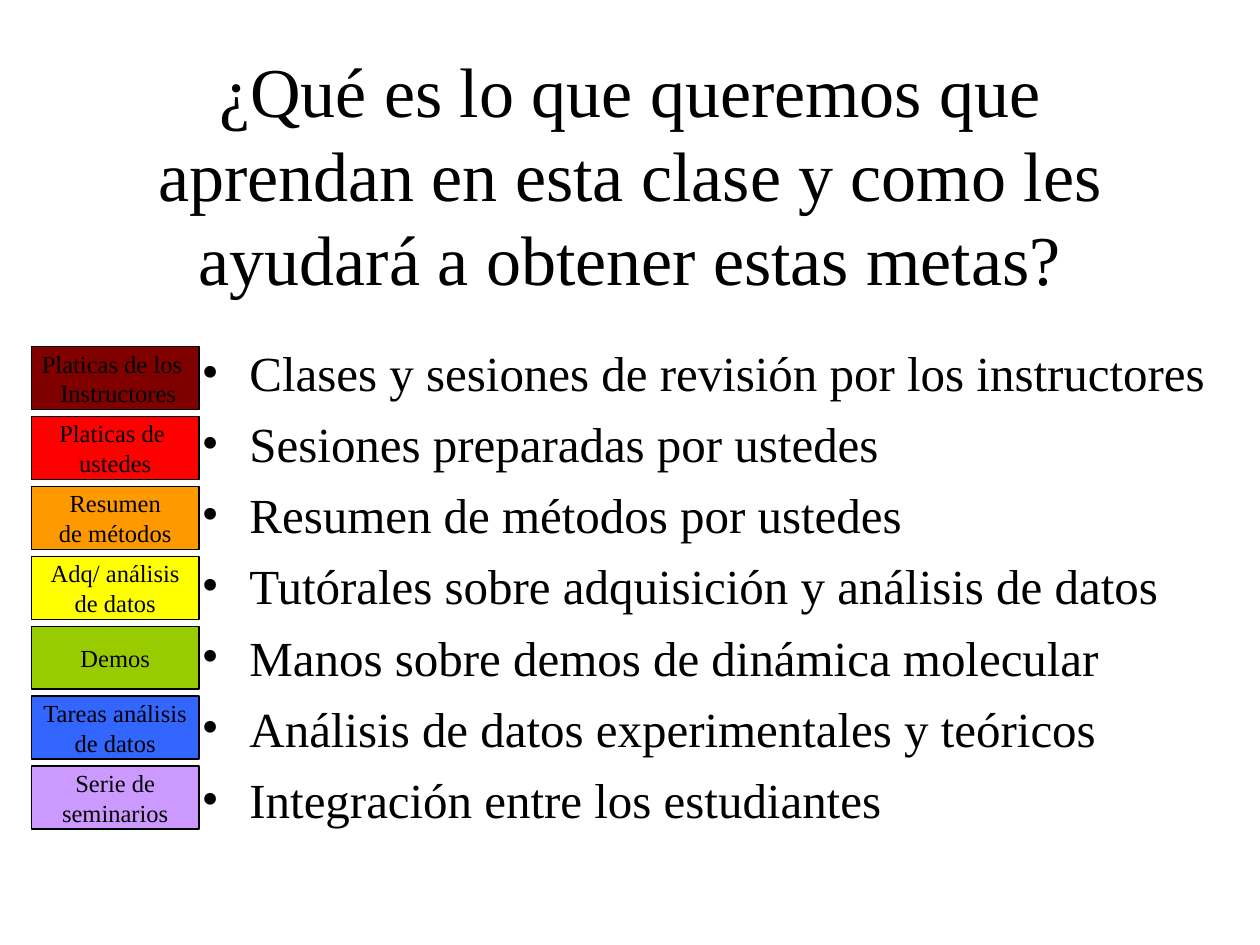
import pptx
import pptx.util
import pptx.dml.color
import pptx.enum.shapes
import pptx.enum.text
import pptx.oxml
import pptx.oxml.ns
from pptx.util import Inches

FONT = "Times New Roman"
COLORS = {
    "text": "000000",
    "paper": "FFFFFF",
    "maroon": "800000",
    "red": "FF0000",
    "orange": "FF9900",
    "yellow": "FFFF00",
    "green": "99CC00",
    "blue": "3366FF",
    "lilac": "CC99FF",
}
TITLE = "¿Qué es lo que queremos que aprendan en esta clase y como les ayudará a obtener estas metas?"
ACTIVITIES = [
    ("maroon", "Platicas de los \n Instructores", "Clases y sesiones de revisión por los instructores"),
    ("red", "Platicas de \nustedes", "Sesiones preparadas por ustedes"),
    ("orange", "Resumen\nde métodos", "Resumen de métodos por ustedes"),
    ("yellow", "Adq/ análisis\nde datos", "Tutórales sobre adquisición y análisis de datos"),
    ("green", "Demos", "Manos sobre demos de dinámica molecular"),
    ("blue", "Tareas análisis\nde datos", "Análisis de datos experimentales y teóricos"),
    ("lilac", "Serie de\nseminarios", "Integración entre los estudiantes"),
]
LABEL_TOP = 2.75
LABEL_PITCH = 3.33 / 6


def rgb(name):
    return pptx.dml.color.RGBColor.from_string(COLORS[name])


def place(box, left, top, width, height):
    box.left, box.top = Inches(left), Inches(top)
    box.width, box.height = Inches(width), Inches(height)


def write_text(box, text, size, alignment, anchor):
    frame = box.text_frame
    frame.text = text
    frame.auto_size = pptx.enum.text.MSO_AUTO_SIZE.NONE
    frame.vertical_anchor = anchor
    for para in frame.paragraphs:
        para.alignment = alignment
        for span in para.runs:
            span.font.name = FONT
            span.font.size = pptx.util.Pt(size)
            span.font.color.rgb = rgb("text")


def add_bullet(para):
    para.space_before = pptx.util.Pt(7)
    properties = para._p.get_or_add_pPr()
    properties.set("marL", str(Inches(0.38)))
    properties.set("indent", str(-Inches(0.38)))
    namespace = pptx.oxml.ns.nsdecls("a")
    for markup in (
        f'<a:buClr {namespace}><a:srgbClr val="{COLORS["text"]}"/></a:buClr>',
        f'<a:buFont {namespace} typeface="{FONT}"/>',
        f'<a:buChar {namespace} char="•"/>',
    ):
        properties.append(pptx.oxml.parse_xml(markup))


def fill_title(box):
    place(box, 0.75, 0.5, 8.5, 1.75)
    write_text(box, TITLE, 40, pptx.enum.text.PP_ALIGN.CENTER, pptx.enum.text.MSO_ANCHOR.MIDDLE)


def fill_body(box):
    place(box, 1.5, 2.67, 8.5, 4.5)
    text = "\n".join(description for _, _, description in ACTIVITIES)
    write_text(box, text, 28, pptx.enum.text.PP_ALIGN.LEFT, pptx.enum.text.MSO_ANCHOR.TOP)
    for para in box.text_frame.paragraphs:
        add_bullet(para)


def add_label(page, top, color, text):
    box = page.shapes.add_shape(
        pptx.enum.shapes.MSO_SHAPE.RECTANGLE, Inches(0.25), Inches(top), Inches(1.33), Inches(0.5)
    )
    box.shadow.inherit = False
    box.fill.solid()
    box.fill.fore_color.rgb = rgb(color)
    box.line.color.rgb = rgb("text")
    box.line.width = pptx.util.Pt(0.75)
    write_text(box, text, 14, pptx.enum.text.PP_ALIGN.CENTER, pptx.enum.text.MSO_ANCHOR.MIDDLE)
    box.text_frame.word_wrap = False


def main():
    deck = pptx.Presentation()
    deck.slide_width, deck.slide_height = Inches(10), Inches(7.5)
    page = deck.slides.add_slide(deck.slide_layouts[1])
    page.background.fill.solid()
    page.background.fill.fore_color.rgb = rgb("paper")
    fill_title(page.shapes.title)
    fill_body(page.placeholders[1])
    for row, (color, label, _) in enumerate(ACTIVITIES):
        add_label(page, LABEL_TOP + row * LABEL_PITCH, color, label)
    deck.save("out.pptx")


if __name__ == "__main__":
    main()
